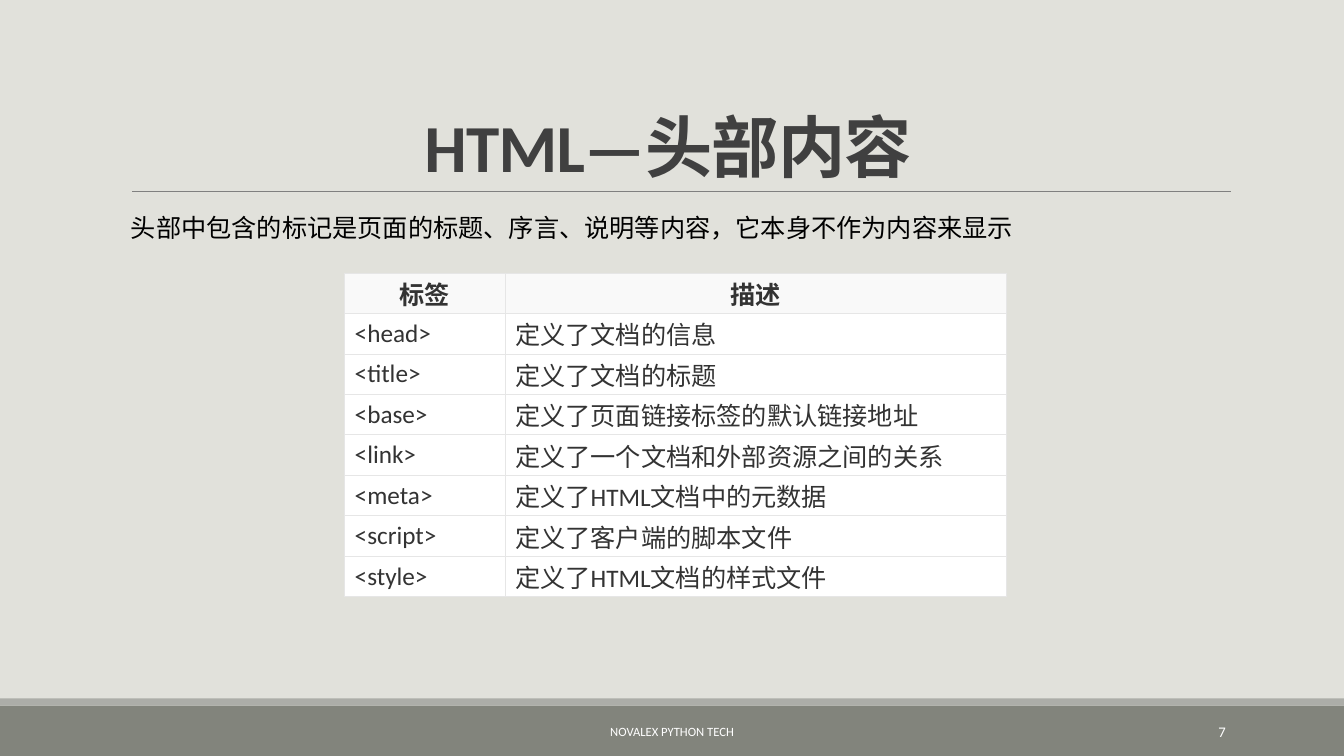
import pptx
import pptx.util
import pptx.dml.color
import pptx.enum.shapes
import pptx.enum.text
import pptx.oxml.ns
from lxml import etree

Cm = pptx.util.Cm
Pt = pptx.util.Pt
ALIGN = pptx.enum.text.PP_ALIGN
ANCHOR = pptx.enum.text.MSO_ANCHOR
qn = pptx.oxml.ns.qn

COLORS = {
    "background": "E1E1DB", "footer": "82847C", "footer edge": "ACADA8",
    "rule": "808080", "title": "404040", "intro": "000000", "white": "FFFFFF",
    "cell text": "333333", "header fill": "F9F9F9", "border": "E6E6E6",
}
TAGS = [
    ("标签", "描述"),
    ("<head>", "定义了文档的信息"),
    ("<title>", "定义了文档的标题"),
    ("<base>", "定义了页面链接标签的默认链接地址"),
    ("<link>", "定义了一个文档和外部资源之间的关系"),
    ("<meta>", "定义了HTML文档中的元数据"),
    ("<script>", "定义了客户端的脚本文件"),
    ("<style>", "定义了HTML文档的样式文件"),
]
COLUMN_WIDTHS = (4.04, 12.64)
ROW_HEIGHT = 1.02


def rgb(name):
    return pptx.dml.color.RGBColor.from_string(COLORS[name])


def set_all(target, values):
    for attribute, value in values.items():
        setattr(target, attribute, value)


def write(frame, text, size, color, align=ALIGN.LEFT, bold=False):
    paragraph = frame.paragraphs[0]
    paragraph.alignment = align
    run = paragraph.add_run()
    run.text = text
    set_all(run.font, {"name": "Calibri", "size": Pt(size), "bold": bold})
    run.font.color.rgb = rgb(color)
    return paragraph


def add_bar(slide, top, height, color):
    bar = slide.shapes.add_shape(pptx.enum.shapes.MSO_SHAPE.RECTANGLE,
                                 0, Cm(top), Cm(33.87), Cm(height))
    bar.shadow.inherit = False
    bar.fill.solid()
    bar.fill.fore_color.rgb = rgb(color)
    bar.line.fill.background()


def add_rule(slide, left, right, y):
    rule = slide.shapes.add_connector(pptx.enum.shapes.MSO_CONNECTOR.STRAIGHT,
                                      Cm(left), Cm(y), Cm(right), Cm(y))
    rule.line.width = Pt(0.5)
    rule.line.color.rgb = rgb("rule")
    etree.SubElement(rule._element.spPr, qn("a:effectLst"))


def add_title(slide, text):
    title = slide.shapes.title
    set_all(title, {"left": Cm(3.05), "top": Cm(0.79),
                    "width": Cm(27.94), "height": Cm(4.04)})
    set_all(title.text_frame, {"vertical_anchor": ANCHOR.BOTTOM, "word_wrap": True,
                               "auto_size": pptx.enum.text.MSO_AUTO_SIZE.NONE})
    paragraph = write(title.text_frame, text, 48, "title", ALIGN.CENTER, True)
    paragraph.line_spacing = 0.85
    paragraph.runs[0].font._element.set("spc", "-50")


def add_label(slide, box, text, size, color, align=ALIGN.LEFT, anchor=ANCHOR.MIDDLE):
    label = slide.shapes.add_textbox(*map(Cm, box)).text_frame
    set_all(label, {"word_wrap": True, "vertical_anchor": anchor})
    write(label, text, size, color, align)


def add_borders(cell):
    properties = cell._tc.get_or_add_tcPr()
    for side in ("lnL", "lnR", "lnT", "lnB"):
        border = etree.SubElement(properties, qn(f"a:{side}"), w=str(Pt(0.75)))
        fill = etree.SubElement(border, qn("a:solidFill"))
        etree.SubElement(fill, qn("a:srgbClr"), val=COLORS["border"])


def add_tag_table(slide, left, top):
    tags = slide.shapes.add_table(len(TAGS), len(COLUMN_WIDTHS), Cm(left), Cm(top),
                                  Cm(sum(COLUMN_WIDTHS)),
                                  Cm(ROW_HEIGHT * len(TAGS))).table
    for column, width in zip(tags.columns, COLUMN_WIDTHS):
        column.width = Cm(width)
    for index, texts in enumerate(TAGS):
        header = index == 0
        tags.rows[index].height = Cm(ROW_HEIGHT)
        for cell, text in zip(tags.rows[index].cells, texts):
            set_all(cell, {"margin_left": Cm(0.25), "margin_right": Cm(0.25),
                           "margin_top": Cm(0.05), "margin_bottom": Cm(0.05),
                           "vertical_anchor": ANCHOR.MIDDLE})
            add_borders(cell)
            cell.fill.solid()
            cell.fill.fore_color.rgb = rgb("header fill" if header else "white")
            write(cell.text_frame, text, 18, "cell text",
                  ALIGN.CENTER if header else ALIGN.LEFT, header)


def main():
    deck = pptx.Presentation()
    set_all(deck, {"slide_width": Cm(33.87), "slide_height": Cm(19.05)})
    slide = deck.slides.add_slide(deck.slide_layouts[5])
    slide.background.fill.solid()
    slide.background.fill.fore_color.rgb = rgb("background")

    # Footer bands and title rule
    add_bar(slide, 17.78, 1.27, "footer")
    add_bar(slide, 17.6, 0.18, "footer edge")
    add_rule(slide, 3.33, 31.01, 4.83)

    # Heading and introduction
    add_title(slide, "HTML—头部内容 ")
    add_label(slide, (3.05, 5.23, 27.3, 1.02),
              "头部中包含的标记是页面的标题、序言、说明等内容，它本身不作为内容来显示",
              18, "intro", anchor=ANCHOR.TOP)

    # Table of head tags
    add_tag_table(slide, 8.69, 6.88)

    # Footer text and page number
    add_label(slide, (10.24, 17.93, 13.39, 1.02), "NOVALEX PYTHON TECH",
              9, "white", ALIGN.CENTER)
    add_label(slide, (27.51, 17.93, 3.63, 1.02), "7", 10.5, "white", ALIGN.RIGHT)

    deck.save("out.pptx")


main()
